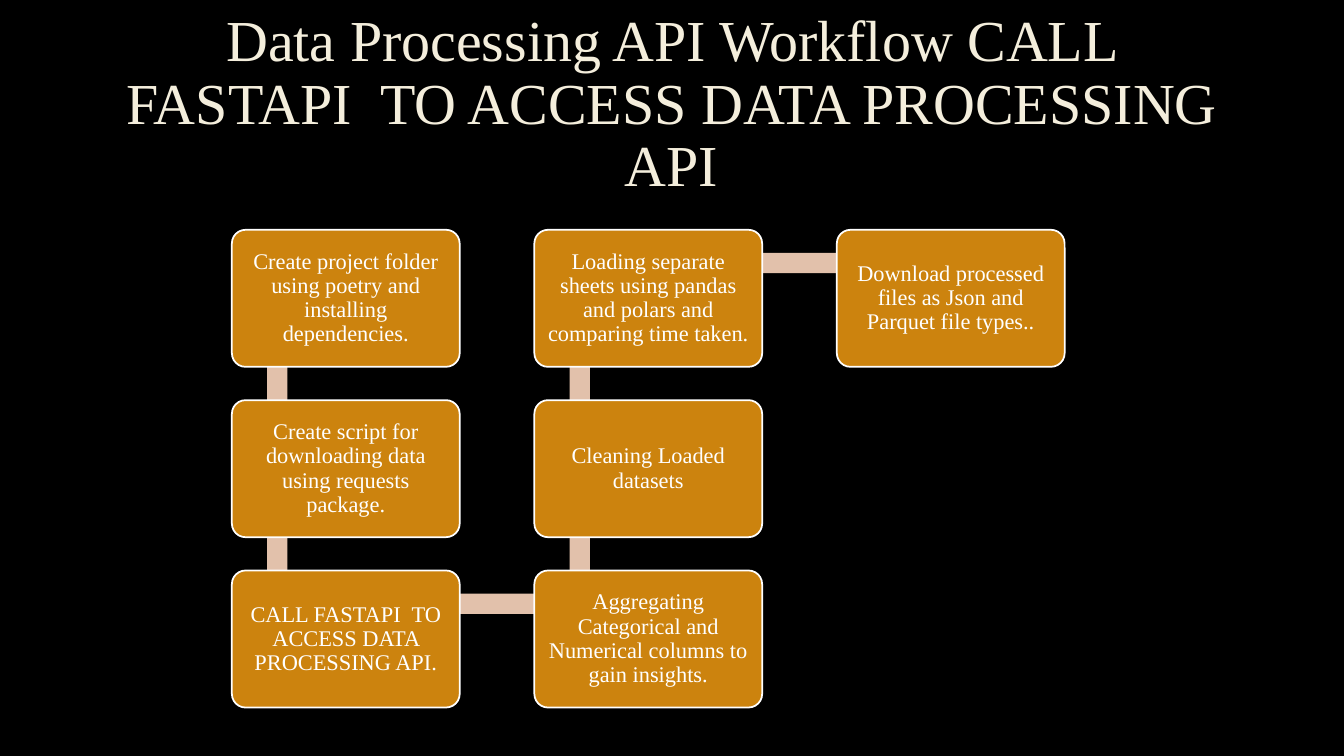
from pptx import Presentation
from pptx import util as u
from pptx.dml.color import RGBColor
from pptx.enum import shapes, text

COLOURS = {"background": "000000", "title": "F4EEDC", "step": "CC830E",
           "link": "E2C1AB", "white": "FFFFFF"}
FONT = "Times New Roman"

# Grid of steps, in inches
LEFT, TOP = 2.3, 2.28
COLUMN, ROW = 3.0, 1.69
STEP_WIDTH, STEP_HEIGHT = 2.26, 1.36
LINK_WIDTH = 0.2

# (column, row, wording), in the order of the workflow
STEPS = [
    (0, 0, "Create project folder using poetry and installing dependencies."),
    (0, 1, "Create script for downloading data using requests package."),
    (0, 2, "CALL FASTAPI  TO ACCESS DATA PROCESSING API."),
    (1, 2, "Aggregating Categorical and Numerical columns to gain insights."),
    (1, 1, "Cleaning Loaded datasets"),
    (1, 0, "Loading separate sheets using pandas and polars and comparing time taken."),
    (2, 0, "Download processed files as Json and Parquet file types.."),
]


def colour(name):
    return RGBColor.from_string(COLOURS[name])


def place(column, row):
    return LEFT + column * COLUMN, TOP + row * ROW


def write(frame, wording, size, ink):
    frame.text = wording
    frame.word_wrap = True
    frame.auto_size = text.MSO_AUTO_SIZE.NONE
    frame.vertical_anchor = text.MSO_ANCHOR.MIDDLE
    paragraph = frame.paragraphs[0]
    paragraph.alignment = text.PP_ALIGN.CENTER
    paragraph.line_spacing = 0.9
    font = paragraph.runs[0].font
    font.name, font.size = FONT, u.Pt(size)
    font.color.rgb = colour(ink)


def add_block(slide, kind, box, fill):
    block = slide.shapes.add_shape(kind, *map(u.Inches, box))
    block.shadow.inherit = False
    block.fill.solid()
    block.fill.fore_color.rgb = colour(fill)
    block.line.fill.background()
    return block


def add_title(slide, wording):
    title = slide.shapes.title
    title.left, title.top = u.Inches(1), u.Inches(0.67)
    title.width, title.height = u.Inches(11.32), u.Inches(1.38)
    write(title.text_frame, wording, 41.4, "title")
    # A deep bottom margin lifts the title clear of the steps
    title.text_frame.margin_bottom = u.Inches(0.68)


def add_link(slide, start, end):
    (x, y), (end_x, end_y) = place(*start), place(*end)
    if x == end_x:
        box = (x + 0.35, min(y, end_y) + 0.34, LINK_WIDTH, ROW)
    else:
        box = (x + 0.46, y + 0.23, COLUMN, LINK_WIDTH)
    add_block(slide, shapes.MSO_SHAPE.RECTANGLE, box, "link")


def add_step(slide, column, row, wording):
    box = (*place(column, row), STEP_WIDTH, STEP_HEIGHT)
    step = add_block(slide, shapes.MSO_SHAPE.ROUNDED_RECTANGLE, box, "step")
    step.adjustments[0] = 0.1
    step.line.color.rgb = colour("white")
    step.line.width = u.Pt(1.25)
    frame = step.text_frame
    frame.margin_left = frame.margin_right = u.Inches(0.07)
    frame.margin_top = frame.margin_bottom = u.Inches(0.07)
    write(frame, wording, 16, "white")


def main():
    deck = Presentation()
    deck.slide_width, deck.slide_height = u.Inches(13.33), u.Inches(7.5)
    slide = deck.slides.add_slide(deck.slide_layouts[5])
    slide.background.fill.solid()
    slide.background.fill.fore_color.rgb = colour("background")

    add_title(slide, "Data Processing API Workflow CALL FASTAPI  TO ACCESS DATA PROCESSING API")

    # Links lie behind the steps
    for start, end in zip(STEPS, STEPS[1:]):
        add_link(slide, start[:2], end[:2])
    for step in STEPS:
        add_step(slide, *step)

    deck.save("out.pptx")


if __name__ == "__main__":
    main()
